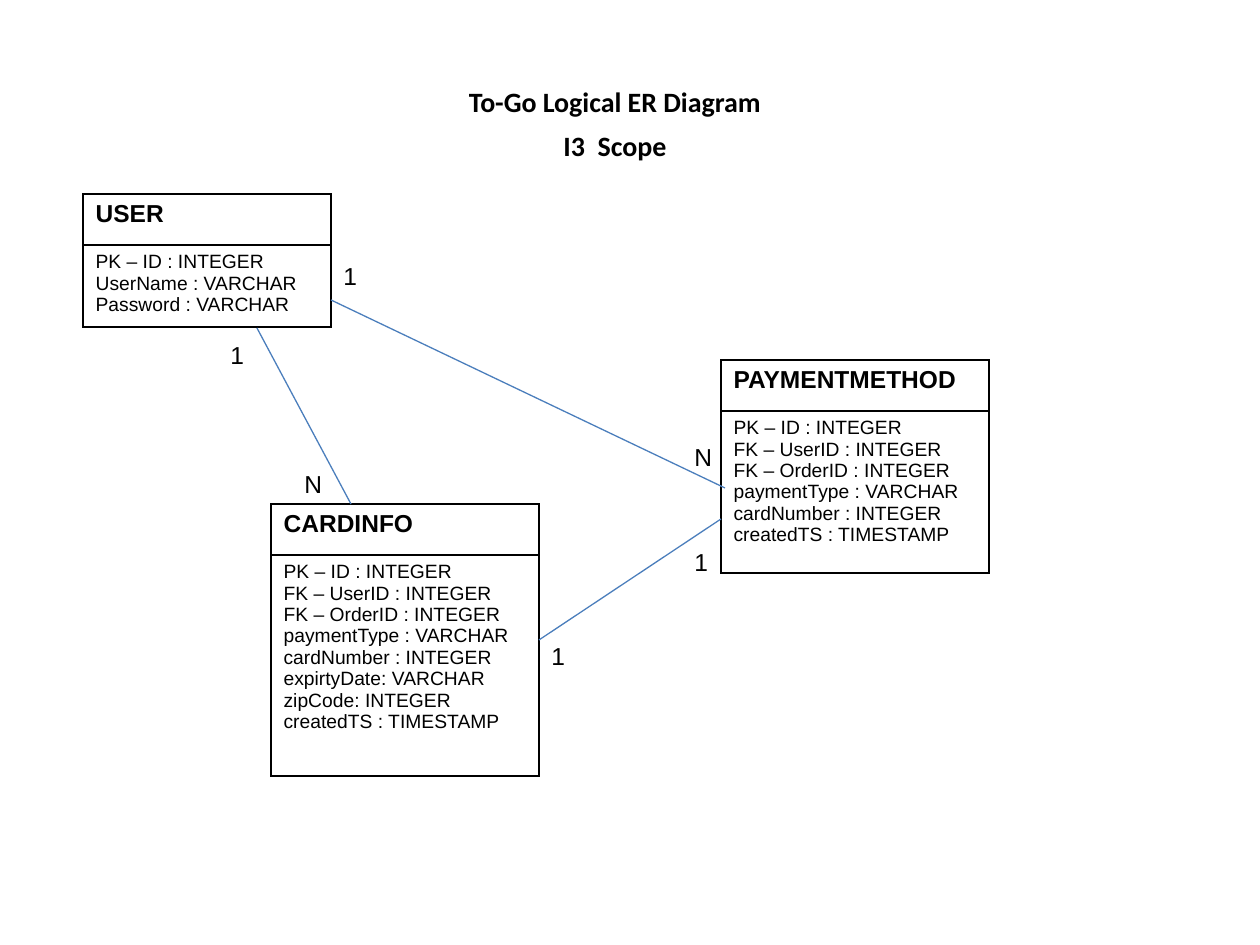
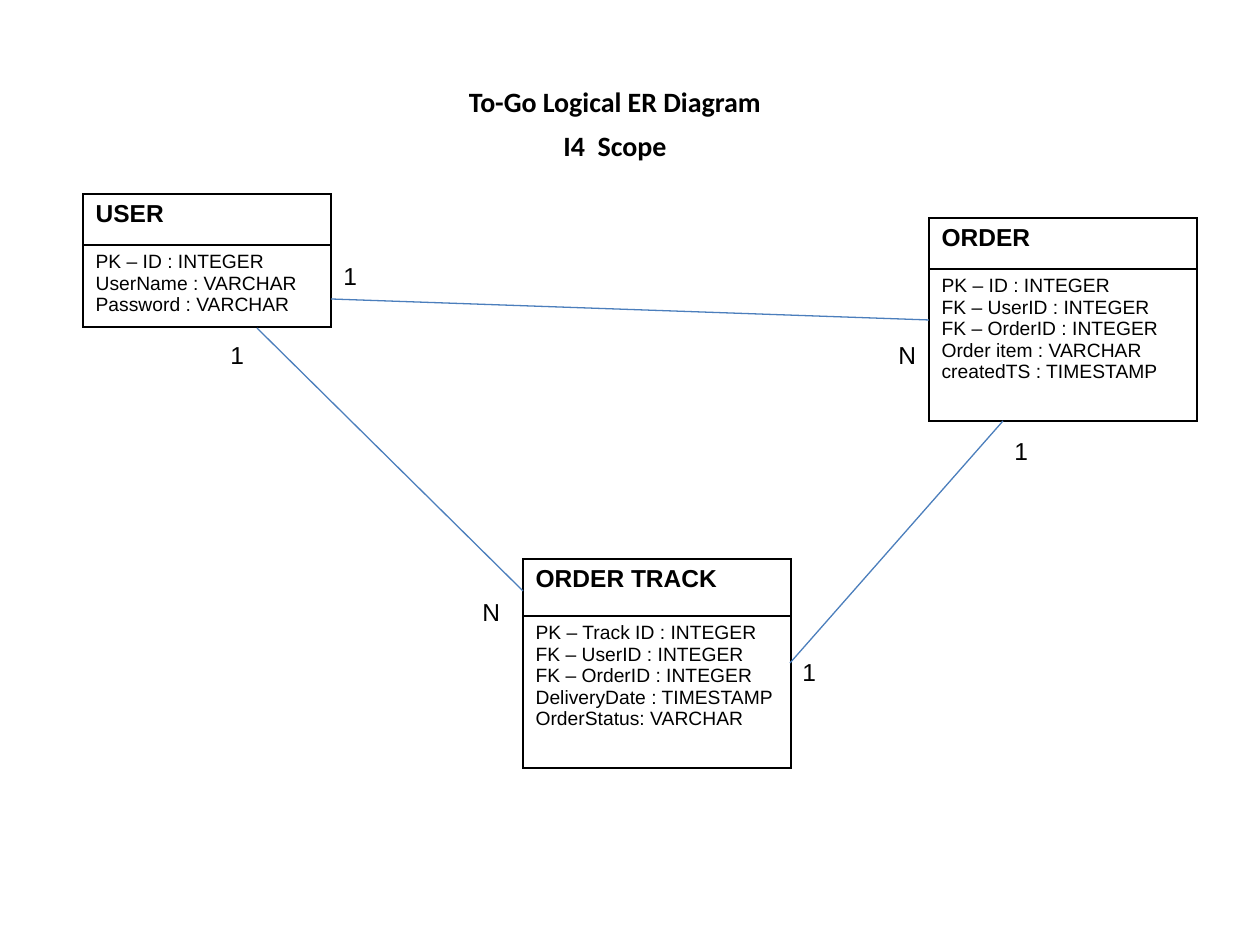
"""Build two logical ER diagram slides, one for each scope."""
from lxml import etree
from pptx import Presentation
from pptx.dml.color import RGBColor
from pptx.enum.shapes import MSO_CONNECTOR
from pptx.enum.text import PP_ALIGN
from pptx.oxml.ns import qn
from pptx.util import Pt

STRAIGHT = MSO_CONNECTOR.STRAIGHT
LEFT, CENTER = PP_ALIGN.LEFT, PP_ALIGN.CENTER
BLACK, LINK_BLUE = "000000", "4B7EBC"
HEADING_HEIGHT = 51
LABEL_WIDTH, LABEL_HEIGHT = 46, 43


def px(*lengths):
    return [round(length * 914400 / 126) for length in lengths]


def write(frame, text, size=14, font="Arial", bold=False, align=LEFT, before=0):
    frame.word_wrap = True
    for number, line in enumerate(text.split("\n")):
        paragraph = frame.add_paragraph() if number else frame.paragraphs[0]
        paragraph.alignment = align
        paragraph.space_before = Pt(before)
        run = paragraph.add_run()
        run.text = line
        run.font.size = Pt(size)
        run.font.name = font
        run.font.bold = bold
        run.font.color.rgb = RGBColor.from_string(BLACK)


user = ("USER", 83, 194, 248, HEADING_HEIGHT, 77,
        "PK – ID : INTEGER\nUserName : VARCHAR\nPassword : VARCHAR")
keys = "FK – UserID : INTEGER\nFK – OrderID : INTEGER\n"
payment_keys = "PK – ID : INTEGER\n" + keys + "paymentType : VARCHAR\ncardNumber : INTEGER\n"
user_labels = [("1", 331, 255), ("1", 218, 334)]

scopes = [
    {
        "title": "To-Go Logical ER Diagram\nI3  Scope",
        "entities": [
            user,
            ("PAYMENTMETHOD", 721, 360, 268, HEADING_HEIGHT, 162,
             payment_keys + "createdTS : TIMESTAMP"),
            ("CARDINFO", 271, 504, 268, HEADING_HEIGHT, 221,
             payment_keys + "expirtyDate: VARCHAR\nzipCode: INTEGER\ncreatedTS : TIMESTAMP"),
        ],
        "links": [(331, 300, 725, 488), (257, 328, 351, 504), (539, 640, 721, 519)],
        "labels": user_labels + [("N", 292, 463), ("N", 682, 436),
                                 ("1", 539, 635), ("1", 682, 541)],
    },
    {
        "title": "To-Go Logical ER Diagram\nI4  Scope",
        "entities": [
            user,
            ("ORDER", 929, 218, 268, HEADING_HEIGHT, 152,
             "PK – ID : INTEGER\n" + keys + "Order item : VARCHAR\ncreatedTS : TIMESTAMP"),
            ("ORDER TRACK", 523, 559, 268, 57, 152,
             "PK – Track ID : INTEGER\n" + keys
             + "DeliveryDate : TIMESTAMP\nOrderStatus: VARCHAR"),
        ],
        "links": [(257, 328, 523, 591), (331, 299, 929, 320), (1003, 421, 790, 663)],
        "labels": user_labels + [("N", 470, 591), ("1", 790, 651),
                                 ("1", 1002, 430), ("N", 886, 334)],
    },
]

deck = Presentation()
deck.slide_width, deck.slide_height = px(1260, 945)

for scope in scopes:
    slide = deck.slides.add_slide(deck.slide_layouts[6])
    title = slide.shapes.add_textbox(*px(72, 78, 1086, 73))
    write(title.text_frame, scope["title"], size=16, font="Calibri",
          bold=True, align=CENTER, before=6.4)

    for name, left, top, width, heading_height, fields_height, fields in scope["entities"]:
        entity = slide.shapes.add_table(
            2, 1, *px(left, top, width, heading_height + fields_height)).table
        entity.first_row = entity.horz_banding = False
        entity.rows[0].height, entity.rows[1].height = px(heading_height, fields_height)
        heading, body = entity.cell(0, 0), entity.cell(1, 0)
        write(heading.text_frame, name, bold=True)
        write(body.text_frame, fields, size=11)
        for cell in (heading, body):
            properties = cell._tc.get_or_add_tcPr()
            for side in ("a:lnL", "a:lnR", "a:lnT", "a:lnB"):
                border = etree.SubElement(properties, qn(side), w=str(Pt(1)))
                paint = etree.SubElement(border, qn("a:solidFill"))
                etree.SubElement(paint, qn("a:srgbClr"), val=BLACK)
            cell.fill.background()

    for ends in scope["links"]:
        link = slide.shapes.add_connector(STRAIGHT, *px(*ends))
        link.line.color.rgb = RGBColor.from_string(LINK_BLUE)
        link.line.width = Pt(0.75)
        etree.SubElement(link._element.spPr, qn("a:effectLst"))

    for cardinality, left, top in scope["labels"]:
        label = slide.shapes.add_textbox(*px(left, top, LABEL_WIDTH, LABEL_HEIGHT))
        write(label.text_frame, cardinality)

deck.save("out.pptx")
